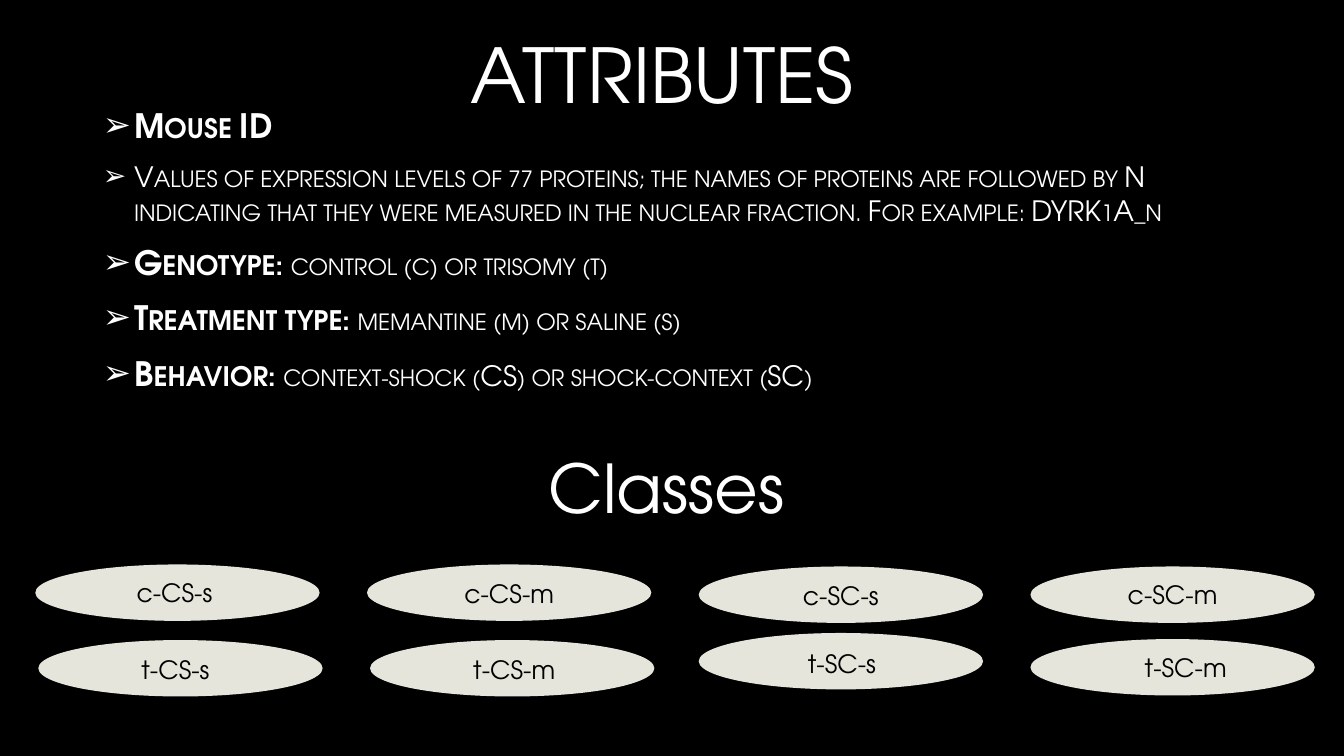
from lxml import etree
from pptx import Presentation, util as u
from pptx.dml.color import RGBColor
from pptx.enum import shapes, text
from pptx.oxml.ns import qn

COLORS = {"background": "000000", "text": "FFFFFF", "oval": "E5E5DB", "label": "000000"}
FONT = "TeX Gyre Adventor"
OVAL_WIDTH, OVAL_HEIGHT = 2.82, 0.56
LABEL_WIDTH, LABEL_HEIGHT = 2.05, 0.4
FIRST_LEFT, COLUMN_PITCH = 0.35, 3.29


def place(shape, left, top, width, height):
    shape.left, shape.top = u.Inches(left), u.Inches(top)
    shape.width, shape.height = u.Inches(width), u.Inches(height)


def style(font, size, color, bold=False):
    font.name, font.size, font.bold = FONT, u.Pt(size), bold
    font.color.rgb = RGBColor.from_string(COLORS[color])


presentation = Presentation()
presentation.slide_width, presentation.slide_height = u.Inches(13.33), u.Inches(7.5)
slide = presentation.slides.add_slide(presentation.slide_layouts[1])
slide.background.fill.solid()
slide.background.fill.fore_color.rgb = RGBColor.from_string(COLORS["background"])

title = slide.shapes.title
place(title, 0.92, 0.22, 11.5, 1.02)
title.text_frame.text = "ATTRIBUTES "
title.text_frame.auto_size = text.MSO_AUTO_SIZE.NONE
style(title.text_frame.paragraphs[0].font, 54, "text")

attributes = [
    ("Mouse ID", ""),
    ("", "Values of expression levels of 77 proteins; the names of proteins are followed by N "
         "indicating that they were measured in the nuclear fraction. For example: DYRK1A_n"),
    ("Genotype: ", "control (c) or trisomy (t)"),
    ("Treatment type: ", "memantine (m) or saline (s)"),
    ("Behavior: ", "context-shock (CS) or shock-context (SC)"),
]
body = slide.placeholders[1]
place(body, 0.92, 1.22, 11.5, 2.97)
frame = body.text_frame
frame.auto_size = text.MSO_AUTO_SIZE.NONE
frame.vertical_anchor = text.MSO_ANCHOR.MIDDLE
frame.margin_bottom = u.Inches(0.52)
for index, (name, description) in enumerate(attributes):
    paragraph = frame.add_paragraph() if index else frame.paragraphs[0]
    paragraph.space_after = u.Pt(6)
    properties = paragraph._p.get_or_add_pPr()
    properties.set("marL", str(u.Inches(0.31)))
    properties.set("indent", str(-u.Inches(0.31)))
    bullet_color = etree.SubElement(properties, qn("a:buClr"))
    etree.SubElement(bullet_color, qn("a:srgbClr"), val=COLORS["text"])
    etree.SubElement(properties, qn("a:buChar"), char="➢")
    for words, size, bold in ((name, 24, True), (description, 20, False)):
        if words:
            run = paragraph.add_run()
            run.text = words
            style(run.font, size, "text", bold)
            run._r.get_or_add_rPr().set("cap", "small")

ovals = [
    ("c-CS-s", 0, 0, 5.6, -0.03, 0),
    ("c-CS-m", 1, 0, 5.6, 0, 0.01),
    ("c-SC-s", 2, 0, 5.62, 0, 0.01),
    ("c-SC-m", 3, 0, 5.62, 0, 0),
    ("t-CS-s", 0, 0.03, 6.35, -0.05, 0.01),
    ("t-CS-m", 1, 0.03, 6.35, 0.02, 0.01),
    ("t-SC-s", 2, 0, 6.28, 0.01, 0.02),
    ("t-SC-m", 3, 0, 6.34, 0.13, 0),
]
captions = [("Classes", 48, 0.71, 4.38, 11.8, 0.91)]
for label, column, shift, top, nudge_x, nudge_y in ovals:
    left = FIRST_LEFT + column * COLUMN_PITCH + shift
    oval = slide.shapes.add_shape(
        shapes.MSO_SHAPE.OVAL, u.Inches(left), u.Inches(top),
        u.Inches(OVAL_WIDTH), u.Inches(OVAL_HEIGHT))
    oval.shadow.inherit = False
    oval.fill.solid()
    oval.fill.fore_color.rgb = RGBColor.from_string(COLORS["oval"])
    oval.line.fill.background()
    captions.append((label, 18, left + (OVAL_WIDTH - LABEL_WIDTH) / 2 + nudge_x,
                     top + (OVAL_HEIGHT - LABEL_HEIGHT) / 2 + nudge_y,
                     LABEL_WIDTH, LABEL_HEIGHT))

for words, size, *box in captions:
    caption = slide.shapes.add_textbox(*map(u.Inches, box))
    caption.text_frame.word_wrap = True
    paragraph = caption.text_frame.paragraphs[0]
    paragraph.text = words
    paragraph.alignment = text.PP_ALIGN.CENTER
    style(paragraph.font, size, "text" if words == "Classes" else "label")

presentation.save("out.pptx")
